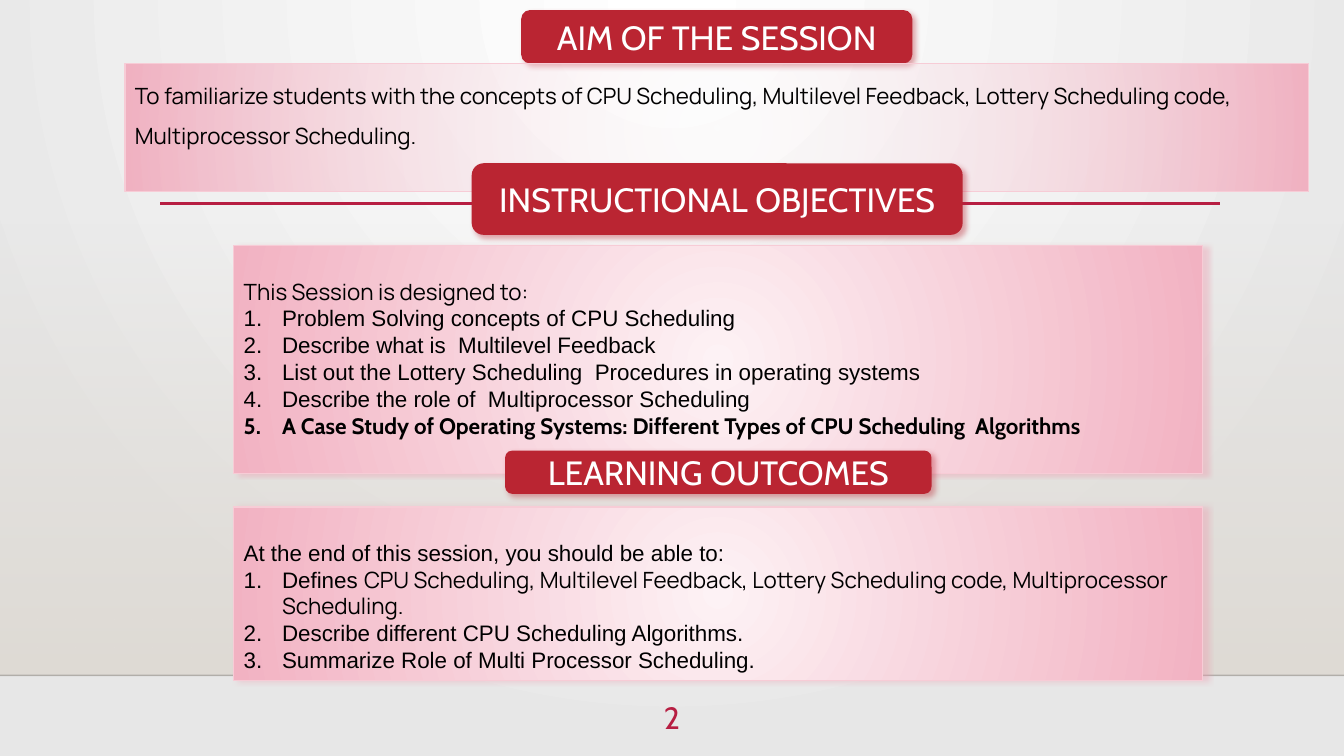
from dataclasses import dataclass

import lxml.etree
import pptx
import pptx.dml.color
import pptx.enum.shapes
import pptx.enum.text
import pptx.oxml.ns
import pptx.util

WIDTH, HEIGHT = pptx.util.Inches(13.33), pptx.util.Inches(7.5)
CRIMSON, BADGE_RED, BLACK, WHITE = "B71E42", "BA2532", "000000", "FFFFFF"
PANEL_CENTRE, PANEL_EDGE, PANEL_LINE, PANEL_SHADOW = "FDF2F5", "F2B2C2", "F7CCD6", "EE99AD"
FLOOR = 89.33
INDENT = pptx.util.Inches(0.38)
ALIGN = pptx.enum.text.PP_ALIGN
ANCHOR = pptx.enum.text.MSO_ANCHOR
SHAPES = pptx.enum.shapes.MSO_SHAPE


@dataclass
class Area:
    """Left, top, width and height as percentages of the slide."""
    left: float
    top: float
    width: float
    height: float

    def place(self) -> tuple:
        return across(self.left), down(self.top), across(self.width), down(self.height)


@dataclass
class Words:
    text: str
    font: str
    bold: bool = False


@dataclass
class Line:
    words: list
    spacing: float = 1
    numbered: bool = False


@dataclass
class Badge:
    area: Area
    title: str


@dataclass
class Panel:
    area: Area
    lines: list
    raised: bool = True


def across(percent: float) -> int:
    return round(WIDTH * percent / 100)


def down(percent: float) -> int:
    return round(HEIGHT * percent / 100)


def rgb(colour: str):
    return pptx.dml.color.RGBColor.from_string(colour)


def add_xml(parent, tag: str, **attributes):
    values = {name: str(value) for name, value in attributes.items()}
    return lxml.etree.SubElement(parent, pptx.oxml.ns.qn(tag), values)


def add_alpha(parent, percent: int) -> None:
    for colour in parent.iter(pptx.oxml.ns.qn("a:srgbClr")):
        add_xml(colour, "a:alpha", val=percent * 1000)


def set_gradient(fill, start: str, end: str, focus=None, clear_start: bool = False) -> None:
    fill.gradient()
    for stop, colour in zip(fill.gradient_stops, (start, end)):
        stop.color.rgb = rgb(colour)
    fill.gradient_angle = 270
    gradient = fill._xPr.find(pptx.oxml.ns.qn("a:gradFill"))
    if clear_start:
        add_alpha(gradient[0][0], 0)
    if focus:
        gradient.remove(gradient.find(pptx.oxml.ns.qn("a:lin")))
        circle = add_xml(gradient, "a:path", path="circle")
        add_xml(circle, "a:fillToRect", **{side: share * 1000 for side, share in zip("ltrb", focus)})


def add_shadow(shape, colour: str, angle: int) -> None:
    effects = shape._element.spPr.find(pptx.oxml.ns.qn("a:effectLst"))
    shadow = add_xml(effects, "a:outerShdw", blurRad=pptx.util.Pt(4), dist=pptx.util.Pt(3),
                     dir=angle * 60000, algn="tl", rotWithShape=0)
    add_xml(shadow, "a:srgbClr", val=colour)
    add_alpha(shadow, 40)


def add_block(slide, preset, area: Area):
    block = slide.shapes.add_shape(preset, *area.place())
    block.shadow.inherit = False
    block.line.fill.background()
    block.text_frame.word_wrap = True
    return block


def add_words(paragraph, words: Words, size: float, colour: str) -> None:
    run = paragraph.add_run()
    run.text = words.text
    run.font.name, run.font.bold = words.font, words.bold
    run.font.size = pptx.util.Pt(size)
    run.font.color.rgb = rgb(colour)


def add_title(frame, title: str, size: float, colour: str) -> None:
    paragraph = frame.paragraphs[0]
    paragraph.alignment = ALIGN.CENTER
    add_words(paragraph, Words(title, "Cabin"), size, colour)


def add_rule(slide, left: float, right: float, top: float, colour: str, width: float, alpha: int = 100) -> None:
    rule = slide.shapes.add_connector(pptx.enum.shapes.MSO_CONNECTOR.STRAIGHT,
                                      across(left), down(top), across(right), down(top))
    rule.line.color.rgb = rgb(colour)
    rule.line.width = pptx.util.Pt(width)
    add_alpha(rule._element.spPr, alpha)
    add_xml(rule._element.spPr, "a:effectLst")


def add_badge(slide, badge: Badge) -> None:
    block = add_block(slide, SHAPES.ROUNDED_RECTANGLE, badge.area)
    block.fill.solid()
    block.fill.fore_color.rgb = rgb(BADGE_RED)
    add_shadow(block, BADGE_RED, 45)
    block.text_frame.vertical_anchor = ANCHOR.MIDDLE
    add_title(block.text_frame, badge.title, 24, WHITE)


def add_panel(slide, panel: Panel) -> None:
    block = add_block(slide, SHAPES.RECTANGLE, panel.area)
    set_gradient(block.fill, PANEL_CENTRE, PANEL_EDGE, (50, 50, 50, 50), not panel.raised)
    block.line.color.rgb = rgb(PANEL_LINE)
    block.line.width = pptx.util.Pt(0.75)
    if panel.raised:
        add_shadow(block, PANEL_SHADOW, 0)
    frame = block.text_frame
    frame.vertical_anchor = ANCHOR.TOP
    frame.auto_size = pptx.enum.text.MSO_AUTO_SIZE.SHAPE_TO_FIT_TEXT
    for index, line in enumerate(panel.lines):
        paragraph = frame.add_paragraph() if index else frame.paragraphs[0]
        paragraph.alignment = ALIGN.LEFT
        paragraph.line_spacing = line.spacing
        if line.numbered:
            properties = paragraph._p.get_or_add_pPr()
            properties.set("marL", str(INDENT))
            properties.set("indent", str(-INDENT))
            add_xml(properties, "a:buFont", typeface="+mj-lt")
            add_xml(properties, "a:buAutoNum", type="arabicPeriod")
        for words in line.words:
            add_words(paragraph, words, 16, BLACK)


def item(*words: Words) -> Line:
    return Line(list(words), numbered=True)


TOPICS = "CPU Scheduling, Multilevel Feedback, Lottery Scheduling code, Multiprocessor Scheduling."
SECTIONS = [
    Badge(Area(38.78, 1.33, 29.1, 7.07), "AIM OF THE SESSION"),
    Panel(Area(9.3, 8.4, 88.07, 16.93), [
        Line([Words("To familiarize students with the concepts of " + TOPICS, "Manrope")], 1.5),
    ], raised=False),
    Badge(Area(35.1, 21.6, 36.53, 9.47), "INSTRUCTIONAL OBJECTIVES"),
    Panel(Area(17.4, 32.53, 72.1, 30.13), [
        Line([Words("This Session is designed to:", "Manrope")], 2),
        item(Words("Problem Solving concepts of CPU Scheduling", "Arial")),
        item(Words("Describe what is  Multilevel Feedback", "Arial")),
        item(Words("List out the Lottery Scheduling  Procedures in operating systems", "Arial")),
        item(Words("Describe the role of  Multiprocessor Scheduling", "Arial")),
        item(Words("A Case Study of Operating Systems: Different Types of CPU Scheduling  Algorithms",
                   "Cabin", True)),
    ]),
    Badge(Area(37.58, 59.6, 31.73, 5.73), "LEARNING OUTCOMES"),
    Panel(Area(17.4, 67.07, 72.1, 22.93), [
        Line([Words("At the end of this session, you should be able to:", "Arial")], 2),
        item(Words("Defines ", "Arial"), Words(TOPICS, "Manrope")),
        item(Words("Describe different CPU Scheduling Algorithms.", "Arial")),
        item(Words("Summarize Role of Multi Processor Scheduling.", "Arial")),
    ]),
]


def main() -> None:
    deck = pptx.Presentation()
    deck.slide_width, deck.slide_height = WIDTH, HEIGHT
    slide = deck.slides.add_slide(deck.slide_layouts[6])
    set_gradient(slide.background.fill, WHITE, "E7E7E7", (43, 0, 43, 100))
    wall = add_block(slide, SHAPES.RECTANGLE, Area(0, 29.47, 100, FLOOR - 29.47))
    set_gradient(wall.fill, "DFDBD5", "DFDBD5", clear_start=True)
    add_rule(slide, 0, 100, FLOOR, "000001", 1, 20)
    add_rule(slide, 11.93, 90.77, 26.93, CRIMSON, 2.5)
    page_number = slide.shapes.add_textbox(*Area(46.66, 91.73, 6.68, 7.33).place())
    page_number.text_frame.word_wrap = True
    add_title(page_number.text_frame, "2", 22, CRIMSON)
    for section in SECTIONS:
        if isinstance(section, Badge):
            add_badge(slide, section)
        else:
            add_panel(slide, section)
    deck.save("out.pptx")


if __name__ == "__main__":
    main()
